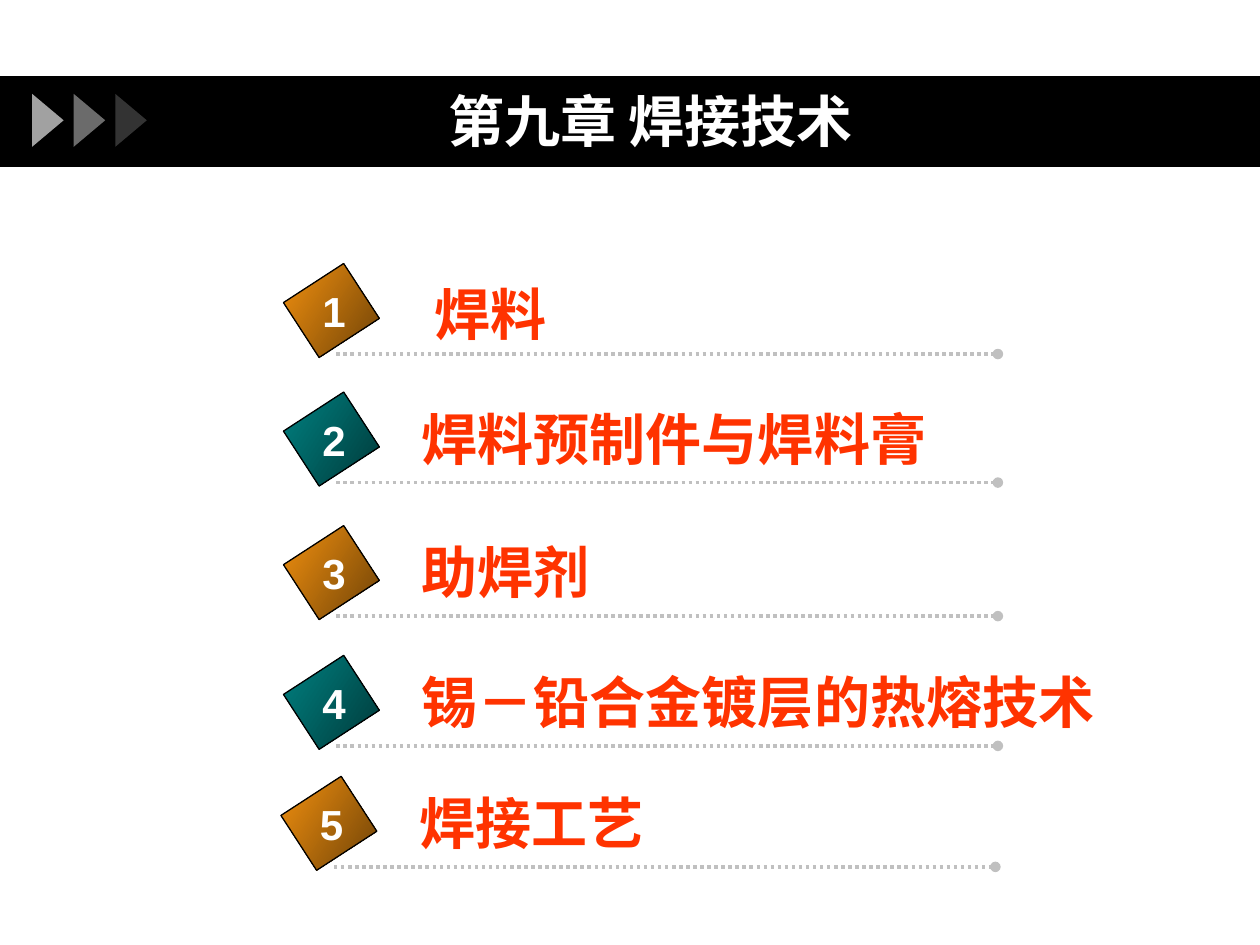
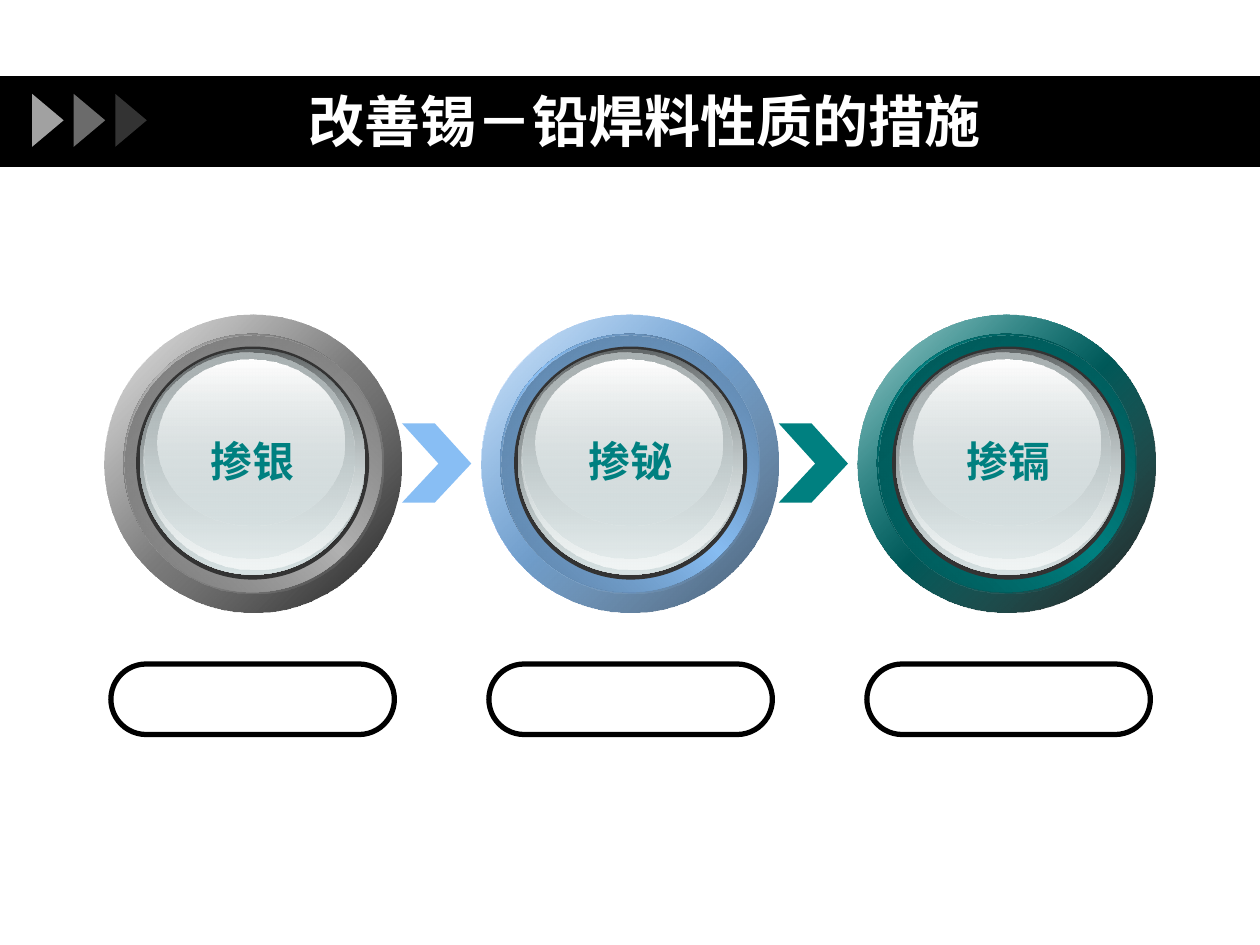
from lxml import etree
from pptx import Presentation
from pptx.dml.color import RGBColor
from pptx.enum.dml import MSO_LINE
from pptx.enum.shapes import MSO_CONNECTOR, MSO_SHAPE
from pptx.enum.text import MSO_ANCHOR, MSO_AUTO_SIZE, PP_ALIGN
from pptx.oxml.ns import qn
from pptx.util import Inches, Pt

RECTANGLE = MSO_SHAPE.RECTANGLE
TRIANGLE = MSO_SHAPE.ISOSCELES_TRIANGLE
OVAL = MSO_SHAPE.OVAL
ROUNDED = MSO_SHAPE.ROUNDED_RECTANGLE
STRAIGHT = MSO_CONNECTOR.STRAIGHT
DOTTED = MSO_LINE.ROUND_DOT
MIDDLE = MSO_ANCHOR.MIDDLE
FIXED_SIZE, FIT_TEXT = MSO_AUTO_SIZE.NONE, MSO_AUTO_SIZE.SHAPE_TO_FIT_TEXT
CENTER, LEFT = PP_ALIGN.CENTER, PP_ALIGN.LEFT

FONT = "Arial"
BLACK = RGBColor(0x00, 0x00, 0x00)
WHITE = RGBColor(0xFF, 0xFF, 0xFF)
SILVER = RGBColor(0xC0, 0xC0, 0xC0)
RED = RGBColor(0xFF, 0x33, 0x00)
TEAL = RGBColor(0x00, 0x80, 0x80)
DARK_TEAL = RGBColor(0x00, 0x3B, 0x3B)
ORANGE = RGBColor(0xF1, 0x90, 0x0F)
BROWN = RGBColor(0x70, 0x43, 0x07)
GRAY = RGBColor(0xB2, 0xB2, 0xB2)
BLUE = RGBColor(0x88, 0xBE, 0xF4)
NAVY = RGBColor(0x3F, 0x58, 0x71)
CHARCOAL = RGBColor(0x33, 0x33, 0x33)
GLASS = RGBColor(0xD6, 0xE1, 0xE2)
GLASS_DARK = RGBColor(0x63, 0x68, 0x69)
GLASS_MID = RGBColor(0xAA, 0xB2, 0xB3)
GLASS_LIGHT = RGBColor(0xF1, 0xF5, 0xF5)

# Main colour, groove edge, groove overlay, (shadow colour, opacity)
GRAY_RING = (GRAY, RGBColor(0x60, 0x60, 0x60), RGBColor(0x71, 0x71, 0x71), (BLACK, 90))
BLUE_RING = (BLUE, RGBColor(0x4A, 0x67, 0x84), RGBColor(0x56, 0x79, 0x9B), (NAVY, 100))
TEAL_RING = (TEAL, RGBColor(0x00, 0x45, 0x45), RGBColor(0x00, 0x51, 0x51), (BLACK, 90))

# Left, top, width, height within the face; gradient stops
GLASS_LAYERS = [
    (0.03, 0.02, 1.79, 1.79, [(0, GLASS_DARK, 100), (100, GLASS, 100)]),
    (0.06, 0.03, 1.75, 1.74, [(0, GLASS, 0), (100, GLASS_LIGHT, 100)]),
    (0.07, 0.05, 1.66, 1.63, [(0, GLASS_MID, 100), (100, GLASS, 48)]),
    (0.17, 0.10, 1.48, 1.32, [(0, WHITE, 100), (100, GLASS, 38)]),
]


def add_alpha(color_element, opacity):
    etree.SubElement(color_element, qn("a:alpha"), val=str(opacity * 1000))


def fill_gradient(shape, stops, angle):
    """Stops are (position, colour, opacity); the angle runs clockwise in degrees."""
    shape.fill.background()
    properties = shape.element.spPr
    gradient = etree.Element(qn("a:gradFill"), rotWithShape="0")
    stop_list = etree.SubElement(gradient, qn("a:gsLst"))
    for position, color, opacity in stops:
        stop = etree.SubElement(stop_list, qn("a:gs"), pos=str(position * 1000))
        color_element = etree.SubElement(stop, qn("a:srgbClr"), val=str(color))
        if opacity < 100:
            add_alpha(color_element, opacity)
    etree.SubElement(gradient, qn("a:lin"), ang=str(angle * 60000), scaled="0")
    properties.replace(properties.find(qn("a:noFill")), gradient)


def set_line(shape, color=None, width=0.75):
    if color is None:
        shape.line.fill.background()
    else:
        shape.line.color.rgb = color
        shape.line.width = Pt(width)


def add_plain_shape(shapes, kind, left, top, width, height, fill=None):
    shape = shapes.add_shape(kind, Inches(left), Inches(top), Inches(width), Inches(height))
    shape.shadow.inherit = False
    if fill is None:
        shape.fill.background()
    else:
        shape.fill.solid()
        shape.fill.fore_color.rgb = fill
    set_line(shape)
    return shape


def add_gradient_oval(shapes, left, top, width, height, stops, angle):
    oval = add_plain_shape(shapes, OVAL, left, top, width, height)
    fill_gradient(oval, stops, angle)


def write_text(frame, text, size, color, alignment):
    paragraph = frame.paragraphs[0]
    paragraph.alignment = alignment
    run = paragraph.add_run()
    run.text = text
    run.font.name = FONT
    run.font.size = Pt(size)
    run.font.bold = True
    run.font.color.rgb = color


def add_label(shapes, left, top, width, height, text, size, color, alignment=CENTER):
    box = shapes.add_textbox(Inches(left), Inches(top), Inches(width), Inches(height))
    box.text_frame.word_wrap = False
    box.text_frame.auto_size = FIT_TEXT
    write_text(box.text_frame, text, size, color, alignment)


def move_band_to_layout(slide):
    """Draw the title band and put it behind the layout, for every slide to share."""
    band = add_plain_shape(slide.shapes, RECTANGLE, 0, 0.61, 10, 0.71, BLACK)
    set_line(band, BLACK)
    parts = [band]
    for index, opacity in enumerate((84, 56, 27)):
        arrow = add_plain_shape(slide.shapes, TRIANGLE, 0.17 + index * 0.33, 0.83, 0.42, 0.25, SILVER)
        arrow.rotation = 90
        add_alpha(next(arrow.element.spPr.iter(qn("a:srgbClr"))), opacity)
        parts.append(arrow)
    for position, part in enumerate(parts, start=2):
        slide.slide_layout.shapes.element.insert(position, part.element)


def add_titled_slide(presentation, title_text):
    slide = presentation.slides.add_slide(presentation.slide_layouts[5])
    title = slide.shapes.title
    title.left, title.top = Inches(1), Inches(0.64)
    title.width, title.height = Inches(8.33), Inches(0.62)
    frame = title.text_frame
    frame.auto_size = FIXED_SIZE
    frame.vertical_anchor = MIDDLE
    write_text(frame, title_text, 32, WHITE, CENTER)
    return slide


def add_contents_row(slide, left, top, number, text, text_top, text_width):
    shapes = slide.shapes.add_group_shape().shapes
    line_left, line_top = Inches(left + 0.3), Inches(top + 0.63)
    rule = shapes.add_connector(STRAIGHT, line_left, line_top, line_left + Inches(5.25), line_top)
    set_line(rule, SILVER, 2)
    rule.line.dash_style = DOTTED
    line_properties = rule.element.spPr.find(qn("a:ln"))
    etree.SubElement(line_properties, qn("a:tailEnd"), type="oval")
    etree.SubElement(rule.element.spPr, qn("a:effectLst"))

    badge = add_plain_shape(shapes, RECTANGLE, left, top, 0.52, 0.57)
    badge.rotation = 57
    light, dark = (ORANGE, BROWN) if number % 2 else (TEAL, DARK_TEAL)
    fill_gradient(badge, [(0, light, 100), (100, dark, 100)], 33)
    set_line(badge, BLACK)

    add_label(shapes, left + 0.88, top + text_top, text_width, 0.64, text, 32, RED, LEFT)
    add_label(shapes, left + 0.09, top + 0.04, 0.38, 0.5, str(number), 24, WHITE)


def add_ring(shapes, left, top, colors):
    main, edge, overlay, (shadow, shadow_opacity) = colors
    layers = [
        (0, 0, 2.36, [(0, WHITE, 100), (50, main, 100), (100, WHITE, 100)], 45),
        (0, 0, 2.36, [(0, main, 32), (100, shadow, shadow_opacity)], 45),
        (0.15, 0.15, 2.05, [(0, edge, 100), (50, main, 100), (100, edge, 100)], 315),
        (0.16, 0.16, 2.05, [(0, overlay, 100), (100, main, 0)], 45),
    ]
    for x, y, size, stops, angle in layers:
        add_gradient_oval(shapes, left + x, top + y, size, size, stops, angle)


def add_glass_face(shapes, left, top, text):
    add_plain_shape(shapes, OVAL, left, top, 1.85, 1.85, CHARCOAL)
    for x, y, width, height, stops in GLASS_LAYERS:
        add_gradient_oval(shapes, left + x, top + y, width, height, stops, 90)
    add_label(shapes, left + 0.12, top + 0.66, 1.61, 0.5, text, 24, TEAL)


def add_chevron(shapes, left, top, color):
    corners = [(0, 0), (0.26, 0), (0.55, 0.32), (0.26, 0.63), (0, 0.63), (0.29, 0.32)]
    points = [(Inches(left + x), Inches(top + y)) for x, y in corners]
    builder = shapes.build_freeform(*points[0], scale=1.0)
    builder.add_line_segments(points[1:], close=True)
    chevron = builder.convert_to_shape()
    chevron.shadow.inherit = False
    chevron.fill.solid()
    chevron.fill.fore_color.rgb = color
    set_line(chevron)


def add_pill(shapes, left, top):
    pill = add_plain_shape(shapes, ROUNDED, left, top, 2.25, 0.56)
    pill.adjustments[0] = 0.5
    set_line(pill, BLACK, 3)


def build_contents(presentation):
    slide = add_titled_slide(presentation, "第九章 焊接技术")
    move_band_to_layout(slide)
    # Badge left and top; text, its top from the badge, its width
    rows = [
        (2.37, 2.18, " 焊料", -0.01, 1.3),
        (2.37, 3.20, "焊料预制件与焊料膏", -0.04, 4.3),
        (2.37, 4.26, "助焊剂", -0.04, 1.6),
        (2.37, 5.29, "锡－铅合金镀层的热熔技术", -0.04, 5.7),
        (2.35, 6.25, "焊接工艺", -0.04, 2.1),
    ]
    for number, (left, top, text, text_top, text_width) in enumerate(rows, start=1):
        add_contents_row(slide, left, top, number, text, text_top, text_width)


def build_measures(presentation):
    slide = add_titled_slide(presentation, "改善锡－铅焊料性质的措施 ")
    shapes = slide.shapes.add_group_shape().shapes
    for index, color in enumerate((BLUE, TEAL)):
        add_chevron(shapes, 3.19 + index * 2.99, 3.36, color)
    measures = [("掺银", GRAY_RING), ("掺铋", BLUE_RING), ("掺镉", TEAL_RING)]
    for index, (text, colors) in enumerate(measures):
        add_ring(shapes, 0.83 + index * 2.99, 2.5, colors)
        add_glass_face(shapes, 1.08 + index * 3, 2.75, text)
        add_pill(shapes, 0.88 + index * 3, 5.27)


def main():
    presentation = Presentation()
    presentation.slide_width = Inches(10)
    presentation.slide_height = Inches(7.5)
    build_contents(presentation)
    build_measures(presentation)
    presentation.save("out.pptx")


if __name__ == "__main__":
    main()
